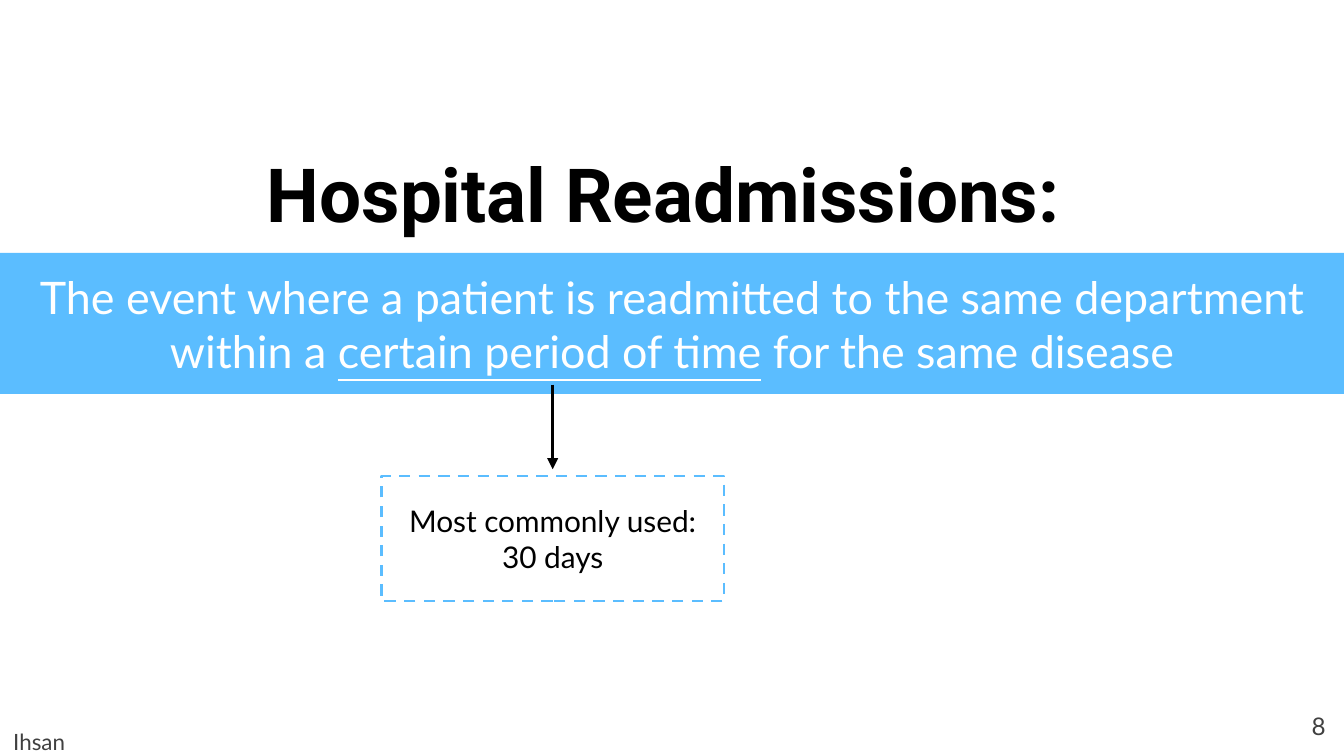
from lxml.etree import SubElement
from pptx import Presentation
from pptx.dml.color import RGBColor
from pptx.enum.dml import MSO_LINE
from pptx.enum.shapes import MSO_CONNECTOR, MSO_SHAPE
from pptx.enum.text import MSO_ANCHOR, PP_ALIGN
from pptx.oxml.ns import qn
from pptx.util import Pt

COLORS = {"sky": "5BBDFF", "white": "FFFFFF", "black": "000000", "gray": "404040"}
PAGE_WIDTH, PAGE_HEIGHT = 720, 405
INSET = 7.2


def rgb(name):
    """Return the named colour."""
    return RGBColor.from_string(COLORS[name])


def write_text(shape, spans, font, color, align=PP_ALIGN.CENTER,
               anchor=MSO_ANCHOR.MIDDLE, line_spacing=None):
    """Write one paragraph of (text, extra font values) spans into a shape."""
    frame = shape.text_frame
    layout = {"word_wrap": True, "vertical_anchor": anchor}
    for side in ("left", "right", "top", "bottom"):
        layout[f"margin_{side}"] = Pt(INSET)
    for name, value in layout.items():
        setattr(frame, name, value)
    para = frame.paragraphs[0]
    para.alignment = align
    para.line_spacing = line_spacing
    for text, extra in spans:
        span = para.add_run()
        span.text = text
        for name, value in {**font, **extra}.items():
            setattr(span.font, name, value)
        span.font.color.rgb = rgb(color)


def add_label(page, box, text, font, color, **layout):
    """Add a plain text box."""
    label = page.shapes.add_textbox(*map(Pt, box))
    write_text(label, [(text, {})], font, color, **layout)


def add_panel(page, box, fill, spans, font, color, outline=None):
    """Add a filled rectangle with centred text and an optional dashed outline."""
    panel = page.shapes.add_shape(MSO_SHAPE.RECTANGLE, *map(Pt, box))
    panel.shadow.inherit = False
    panel.fill.solid()
    panel.fill.fore_color.rgb = rgb(fill)
    if outline:
        panel.line.color.rgb = rgb(outline)
        panel.line.width = Pt(1.5)
        panel.line.dash_style = MSO_LINE.DASH
    else:
        panel.line.fill.background()
    write_text(panel, spans, font, color)


def add_down_arrow(page, x, top, bottom):
    """Add a vertical arrow pointing down."""
    arrow = page.shapes.add_connector(
        MSO_CONNECTOR.STRAIGHT, Pt(x), Pt(top), Pt(x), Pt(bottom))
    arrow.line.color.rgb = rgb("black")
    arrow.line.width = Pt(1.5)
    SubElement(arrow.line._get_or_add_ln(), qn("a:tailEnd"), type="triangle")
    SubElement(arrow._element.spPr, qn("a:effectLst"))


def add_footer(page, box):
    """Add the presenter name on the left and the page number on the right."""
    left, top, width, height = box
    add_label(page, (left + width - 46, top, 43.2, height), "8",
              {"name": "Lato", "size": Pt(13)}, "gray",
              align=PP_ALIGN.RIGHT, anchor=MSO_ANCHOR.TOP)
    add_label(page, (left, top + height - 18, 201, 18), "Ihsan",
              {"name": "Lato", "size": Pt(12)}, "gray",
              align=PP_ALIGN.LEFT, line_spacing=1.15)


def add_definition(page, box):
    """Add the title, the definition band and the note on its underlined term."""
    left, top, width, height = box
    band_top, band_height = top + 63.4, 75.6
    note_width, note_height = 183.6, 67
    note_left, note_top = left + 205, top + height - note_height
    add_panel(page, (left, band_top, width, band_height), "sky", [
        ("The event where a patient is readmitted to the same department within a ", {}),
        ("certain period of time", {"underline": True}),
        (" for the same disease", {}),
    ], {"name": "Lato", "size": Pt(24)}, "white")
    add_label(page, (left + 113.7, top, 494.6, 63.4), "Hospital Readmissions: ",
              {"name": "Roboto", "size": Pt(40), "bold": True}, "black",
              anchor=MSO_ANCHOR.TOP)
    add_down_arrow(page, note_left + note_width / 2,
                   band_top + band_height - 5, note_top - 3.6)
    add_panel(page, (note_left, note_top, note_width, note_height), "white",
              [("Most commonly used: 30 days", {})],
              {"name": "Lato", "size": Pt(16)}, "black", outline="sky")


def main():
    """Build and save the deck."""
    deck = Presentation()
    deck.slide_width, deck.slide_height = Pt(PAGE_WIDTH), Pt(PAGE_HEIGHT)
    page = deck.slides.add_slide(deck.slide_layouts[6])
    add_footer(page, (0, 374, PAGE_WIDTH, 31))
    add_definition(page, (-0.7, 72, PAGE_WIDTH + 1.4, 250))
    deck.save("out.pptx")


if __name__ == "__main__":
    main()
